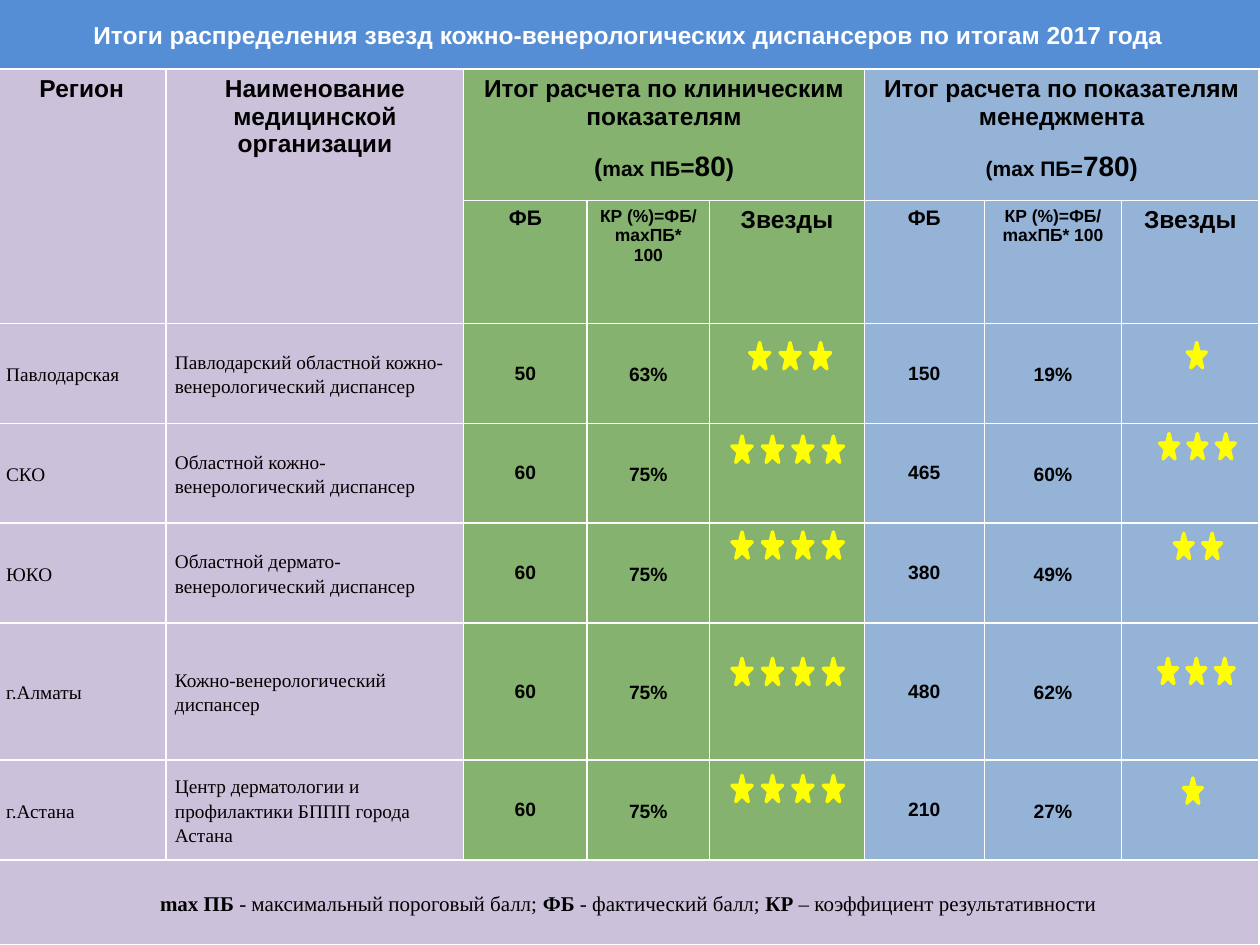
from dataclasses import dataclass
from itertools import accumulate

from pptx import Presentation
from pptx.dml.color import RGBColor as Rgb
from pptx.enum.shapes import MSO_SHAPE as Shape
from pptx.enum.text import MSO_ANCHOR as Anchor, MSO_AUTO_SIZE as AutoSize, PP_ALIGN as Align
from pptx.util import Pt


@dataclass(frozen=True)
class Theme:
    """Colours, fonts and type sizes of the slide."""
    banner: Rgb = Rgb.from_string("558ED5")
    region: Rgb = Rgb.from_string("CCC1DA")
    clinical: Rgb = Rgb.from_string("85B26E")
    management: Rgb = Rgb.from_string("95B3D7")
    star: Rgb = Rgb.from_string("FFFF00")
    light: Rgb = Rgb.from_string("FFFFFF")
    dark: Rgb = Rgb.from_string("000000")
    sans: str = "Arial"
    serif: str = "Times New Roman"
    maximum: int = 16
    heading: int = 14
    label: int = 12
    body: int = 11
    formula: int = 10


@dataclass(frozen=True)
class Stars:
    """Count of stars, their top below the row and their shift from the column's centre."""
    count: int
    top: float
    shift: float


THEME = Theme()
COLUMNS = [96.5, 170, 70.5, 70, 88.5, 68.5, 78.5, 78.5]
ROWS = [75, 70.5, 57, 57, 57, 78.5, 57, 48.5]
FILLS = [THEME.region] * 2 + [THEME.clinical] * 3 + [THEME.management] * 3
FIRST_ROW = 2
TITLE = "Итоги распределения звезд кожно-венерологических диспансеров по итогам 2017 года"
FORMULA = "КР (%)=ФБ/ mахПБ* 100"
RESULTS = [
    ("Павлодарская", "Павлодарский областной кожно-венерологический диспансер",
     "50", "63%", Stars(3, 10.8, 1.8), "150", "19%", Stars(1, 10.8, 3.6)),
    ("СКО", "Областной кожно-венерологический диспансер",
     "60", "75%", Stars(4, 7.2, 0.4), "465", "60%", Stars(3, 5.8, 4)),
    ("ЮКО", "Областной дермато-венерологический диспансер",
     "60", "75%", Stars(4, 5, 0.4), "380", "49%", Stars(2, 5.8, 4.3)),
    ("г.Алматы", "Кожно-венерологический диспансер",
     "60", "75%", Stars(4, 20.2, 0.4), "480", "62%", Stars(3, 20.2, 3.4)),
    ("г.Астана", "Центр дерматологии и профилактики БППП города Астана",
     "60", "75%", Stars(4, 8.6, 0.4), "210", "27%", Stars(1, 10.1, 1.4)),
]
LEGEND = [
    ("mах ПБ ", True), ("- максимальный пороговый балл; ", False),
    ("ФБ", True), (" - фактический балл; ", False),
    ("КР", True), (" – коэффициент результативности", False),
]


def set_font(paragraph, size, bold=True, name=THEME.sans, color=THEME.dark, align=Align.CENTER):
    """Format a whole paragraph."""
    paragraph.alignment = align
    font = paragraph.font
    font.name, font.size, font.bold = name, Pt(size), bold
    font.color.rgb = color


def write(cell, text, size, **style):
    """Put one uniform paragraph into a cell."""
    paragraph = cell.text_frame.paragraphs[0]
    paragraph.add_run().text = text
    set_font(paragraph, size, **style)
    return paragraph


def inset(cell, side):
    """Centre a cell's text vertically with the given side margins."""
    cell.vertical_anchor = Anchor.MIDDLE
    cell.margin_left = cell.margin_right = Pt(side)
    cell.margin_top = cell.margin_bottom = Pt(0)


def add_banner(slide, left, top, width, height):
    """Fill the title placeholder as the top banner."""
    banner = slide.shapes.title
    banner.left, banner.top, banner.width, banner.height = map(Pt, (left, top, width, height))
    banner.fill.solid()
    banner.fill.fore_color.rgb = THEME.banner
    frame = banner.text_frame
    frame.text = TITLE
    frame.word_wrap = True
    frame.auto_size = AutoSize.NONE
    frame.vertical_anchor = Anchor.MIDDLE
    set_font(frame.paragraphs[0], THEME.heading, color=THEME.light)


def fill_header(table):
    """Write the two header rows."""
    for column, heading in enumerate(("Регион", "Наименование медицинской организации")):
        table.cell(0, column).merge(table.cell(1, column))
        write(table.cell(0, column), heading, THEME.heading)
    groups = [
        (2, "Итог расчета по клиническим показателям",
         [("(", THEME.heading), ("mах ПБ", THEME.label), ("=", THEME.heading),
          ("80", THEME.maximum), (")", THEME.heading)]),
        (5, "Итог расчета по показателям менеджмента",
         [("(mах ПБ=", THEME.label), ("780", THEME.maximum), (")", THEME.heading)]),
    ]
    for column, heading, limit in groups:
        group = table.cell(0, column)
        group.merge(table.cell(0, column + 2))
        write(group, heading, THEME.heading)
        limit_line = group.text_frame.add_paragraph()
        limit_line.space_before = Pt(12)
        set_font(limit_line, THEME.heading)
        for text, size in limit:
            run = limit_line.add_run()
            run.text, run.font.size = text, Pt(size)
        write(table.cell(1, column), "ФБ", THEME.label)
        write(table.cell(1, column + 1), FORMULA, THEME.formula)
        write(table.cell(1, column + 2), "Звезды", THEME.heading)


def fill_results(table):
    """Write the names and scores of each region."""
    for row, result in enumerate(RESULTS, FIRST_ROW):
        for column, value in enumerate(result):
            if isinstance(value, Stars):
                continue
            cell = table.cell(row, column)
            is_score = column in (2, 5)
            inset(cell, 0 if is_score else 5)
            if column < 2:
                entry = write(cell, value, THEME.body, bold=False, name=THEME.serif, align=Align.LEFT)
            else:
                entry = write(cell, value, THEME.body)
            if not is_score:
                entry.line_spacing = 1.15


def fill_legend(table):
    """Write the abbreviations in the merged last row."""
    row = len(ROWS) - 1
    legend = table.cell(row, 0)
    legend.merge(table.cell(row, len(COLUMNS) - 1))
    inset(legend, 5)
    line = legend.text_frame.paragraphs[0]
    line.line_spacing = 1.15
    set_font(line, THEME.label, bold=None, name=THEME.serif)
    for text, bold in LEGEND:
        run = line.add_run()
        run.text, run.font.bold = text, bold


def add_results_table(slide, left, top):
    """Build the table with its top left corner at the given point."""
    table = slide.shapes.add_table(
        len(ROWS), len(COLUMNS), Pt(left), Pt(top), Pt(sum(COLUMNS)), Pt(sum(ROWS))).table
    table.first_row = table.horz_banding = False
    for column, width in zip(table.columns, COLUMNS):
        column.width = Pt(width)
    for row, height in zip(table.rows, ROWS):
        row.height = Pt(height)
        for cell, color in zip(row.cells, FILLS):
            cell.fill.solid()
            cell.fill.fore_color.rgb = color
    fill_header(table)
    fill_results(table)
    fill_legend(table)


def add_stars(slide, center, top, count, width, height, step):
    """Draw a row of stars around a centre, grouped when there are several."""
    shapes = slide.shapes.add_group_shape().shapes if count > 1 else slide.shapes
    start = center - (width + (count - 1) * step) / 2
    for index in range(count):
        star = shapes.add_shape(
            Shape.STAR_5_POINT, Pt(start + index * step), Pt(top), Pt(width), Pt(height))
        star.shadow.inherit = False
        star.fill.solid()
        star.fill.fore_color.rgb = star.line.color.rgb = THEME.star
        star.line.width = Pt(2)


def add_ratings(slide, left, top):
    """Place the stars over the rating columns of the table at the given point."""
    column_lefts = list(accumulate(COLUMNS, initial=left))
    row_tops = list(accumulate(ROWS, initial=top))
    for column, width, height, step in ((4, 11.5, 15, 17.4), (7, 10.8, 14.4, 16.2)):
        center = column_lefts[column] + COLUMNS[column] / 2
        for row, result in enumerate(RESULTS, FIRST_ROW):
            rating = result[column]
            add_stars(slide, center + rating.shift, row_tops[row] + rating.top,
                      rating.count, width, height, step)


def main():
    """Build and save the slide."""
    deck = Presentation()
    deck.slide_width, deck.slide_height = Pt(720), Pt(540)
    slide = deck.slides.add_slide(deck.slide_layouts[5])
    add_banner(slide, -2, 0, 722, 39.5)
    add_results_table(slide, -1.5, 39.5)
    add_ratings(slide, -1.5, 39.5)
    deck.save("out.pptx")


if __name__ == "__main__":
    main()
